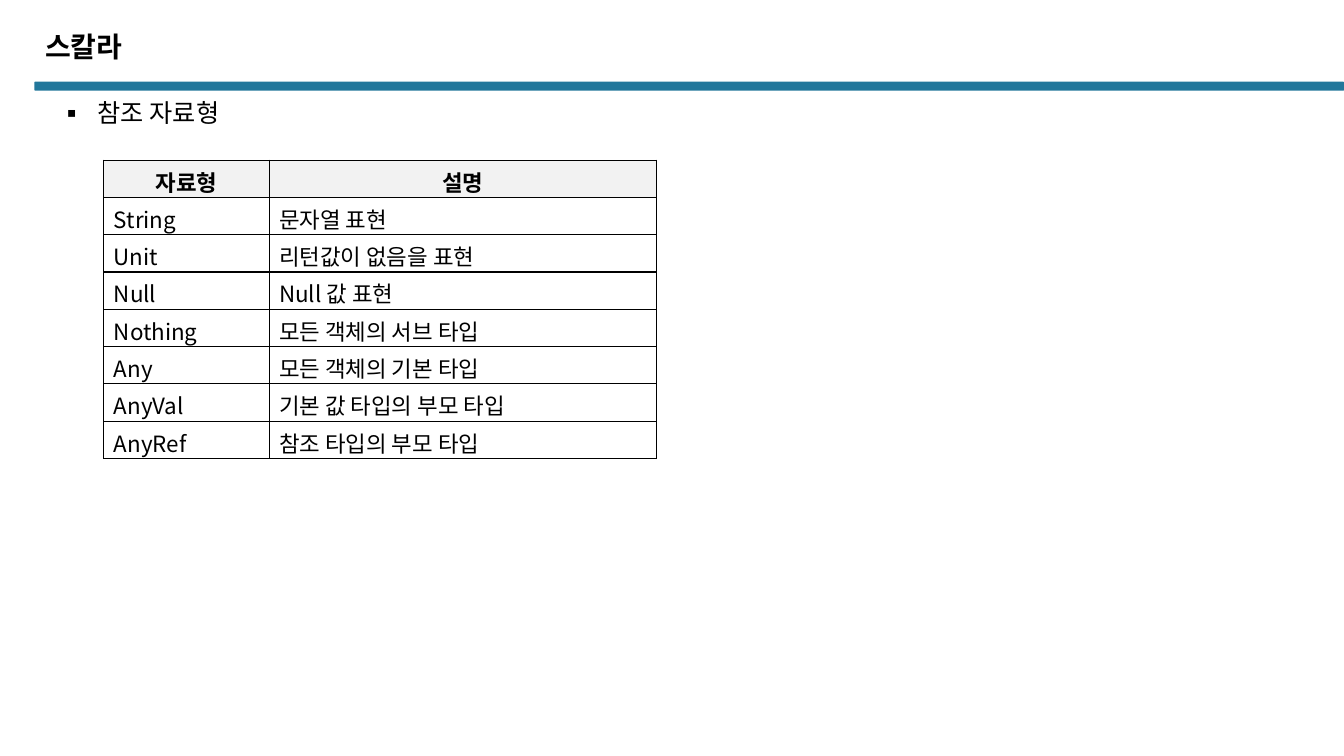
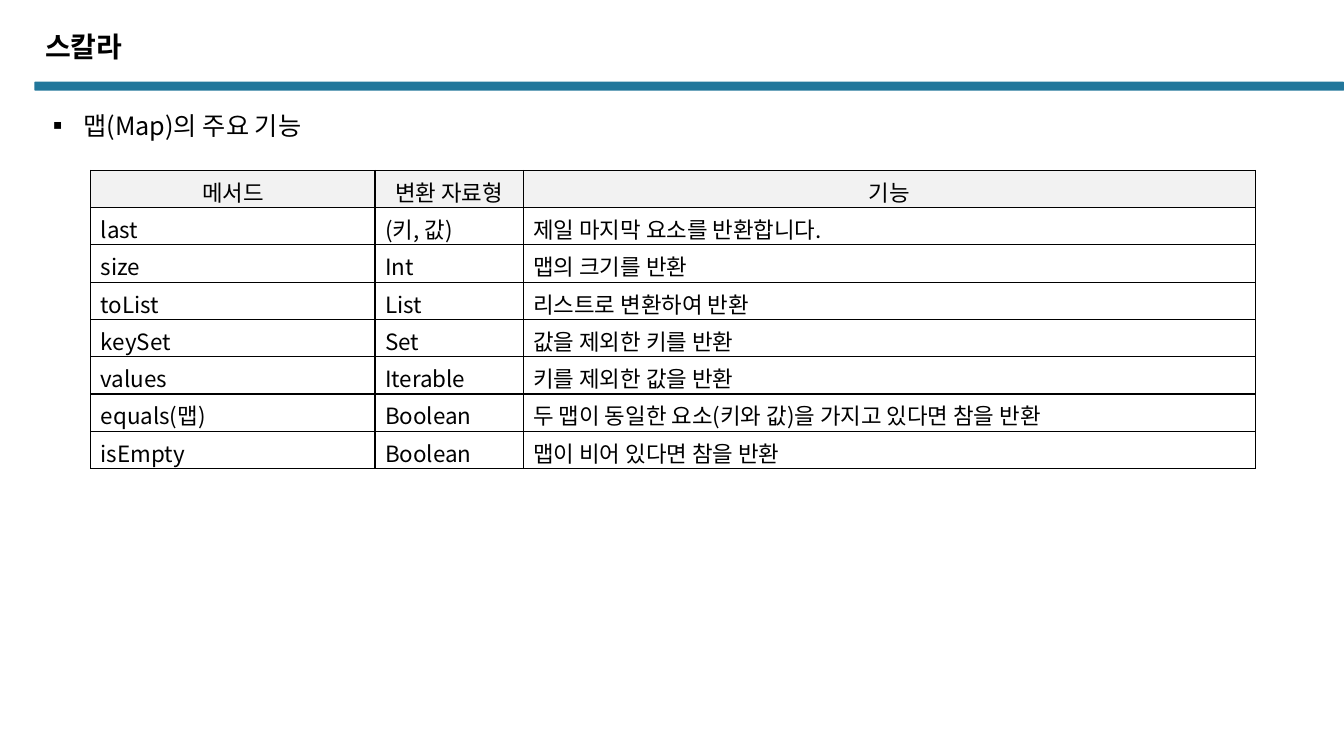
from lxml.etree import SubElement
from pptx import Presentation
from pptx.dml.color import RGBColor
from pptx.enum.shapes import MSO_SHAPE as Shape
from pptx.enum.text import PP_ALIGN as Align
from pptx.oxml.ns import qn
from pptx.util import Inches, Pt

FONT = "Noto Sans CJK KR"
BLACK, WHITE, TEAL, GRAY = "000000", "FFFFFF", "22779B", "F2F2F2"
TITLE = "스칼라"
ROW_HEIGHT = 0.37
INDENT = 0.38

PAGES = [
    {
        "topic": "참조 자료형",
        "topic_at": (0.49, 0.97),
        "table_at": (1.03, 1.59),
        "columns": (1.64, 3.84),
        "bold_header": True,
        "rows": [
            ("자료형", "설명"),
            ("String", "문자열 표현"),
            ("Unit", "리턴값이 없음을 표현"),
            ("Null", "Null 값 표현"),
            ("Nothing", "모든 객체의 서브 타입"),
            ("Any", "모든 객체의 기본 타입"),
            ("AnyVal", "기본 값 타입의 부모 타입"),
            ("AnyRef", "참조 타입의 부모 타입"),
        ],
    },
    {
        "topic": "맵(Map)의 주요 기능",
        "topic_at": (0.35, 1.09),
        "table_at": (0.9, 1.69),
        "columns": (2.82, 1.47, 7.26),
        "bold_header": False,
        "rows": [
            ("메서드", "변환 자료형", "기능"),
            ("last", "(키, 값)", "제일 마지막 요소를 반환합니다."),
            ("size", "Int", "맵의 크기를 반환"),
            ("toList", "List", "리스트로 변환하여 반환"),
            ("keySet", "Set", "값을 제외한 키를 반환"),
            ("values", "Iterable", "키를 제외한 값을 반환"),
            ("equals(맵)", "Boolean", "두 맵이 동일한 요소(키와 값)을 가지고 있다면 참을 반환"),
            ("isEmpty", "Boolean", "맵이 비어 있다면 참을 반환"),
        ],
    },
]


def paint(fill, color):
    fill.solid()
    fill.fore_color.rgb = RGBColor.from_string(color)


def write(paragraph, text, size, bold=False):
    run = paragraph.add_run()
    run.text = text
    run.font.size = Pt(size)
    run.font.bold = bold
    run.font.name = FONT
    paint(run.font.fill, BLACK)
    SubElement(run.font._element, qn("a:ea"), typeface=FONT)


def add_line(slide, left, top, width, height):
    frame = slide.shapes.add_textbox(*map(Inches, (left, top, width, height))).text_frame
    frame.word_wrap = True
    frame.margin_top = frame.margin_bottom = 0
    return frame.paragraphs[0]


def add_header(slide):
    band = slide.shapes.add_shape(
        Shape.ROUNDED_RECTANGLE, *map(Inches, (0.34, 0.81, 12.99, 0.09)))
    band.adjustments[0] = 0.13
    band.shadow.inherit = False
    paint(band.fill, TEAL)
    band.line.fill.background()
    title = add_line(slide, 0.35, 0.33, 7.9, 0.47)
    title.line_spacing = 0.9
    write(title, TITLE, 20, True)


def add_topic(slide, text, left, top):
    topic = add_line(slide, left, top, 12.43, 0.4)
    properties = topic._p.get_or_add_pPr()
    properties.set("marL", str(Inches(INDENT)))
    properties.set("indent", str(-Inches(INDENT)))
    SubElement(properties, qn("a:buFont"), typeface=FONT)
    SubElement(properties, qn("a:buChar"), char="▪")
    write(topic, text, 18)


def add_borders(cell):
    properties = cell._tc.get_or_add_tcPr()
    for side in ("lnL", "lnR", "lnT", "lnB"):
        border = SubElement(properties, qn("a:" + side), w=str(Pt(1)))
        fill = SubElement(border, qn("a:solidFill"))
        SubElement(fill, qn("a:srgbClr"), val=BLACK)


def add_grid(slide, rows, columns, left, top, bold_header):
    grid = slide.shapes.add_table(
        len(rows), len(columns), Inches(left), Inches(top),
        Inches(sum(columns)), Inches(ROW_HEIGHT * len(rows))).table
    grid.first_row = grid.horz_banding = False
    for column, width in zip(grid.columns, columns):
        column.width = Inches(width)
    for r, texts in enumerate(rows):
        header = r == 0
        grid.rows[r].height = Inches(ROW_HEIGHT)
        for c, text in enumerate(texts):
            cell = grid.cell(r, c)
            cell.margin_top, cell.margin_bottom = Inches(0.05), 0
            add_borders(cell)
            paint(cell.fill, GRAY if header else WHITE)
            paragraph = cell.text_frame.paragraphs[0]
            paragraph.alignment = Align.CENTER if header else Align.LEFT
            write(paragraph, text, 16, header and bold_header)


def main():
    deck = Presentation()
    deck.slide_width, deck.slide_height = Inches(13.33), Inches(7.5)
    for page in PAGES:
        slide = deck.slides.add_slide(deck.slide_layouts[6])
        add_header(slide)
        add_topic(slide, page["topic"], *page["topic_at"])
        add_grid(slide, page["rows"], page["columns"], *page["table_at"], page["bold_header"])
    deck.save("out.pptx")


if __name__ == "__main__":
    main()
